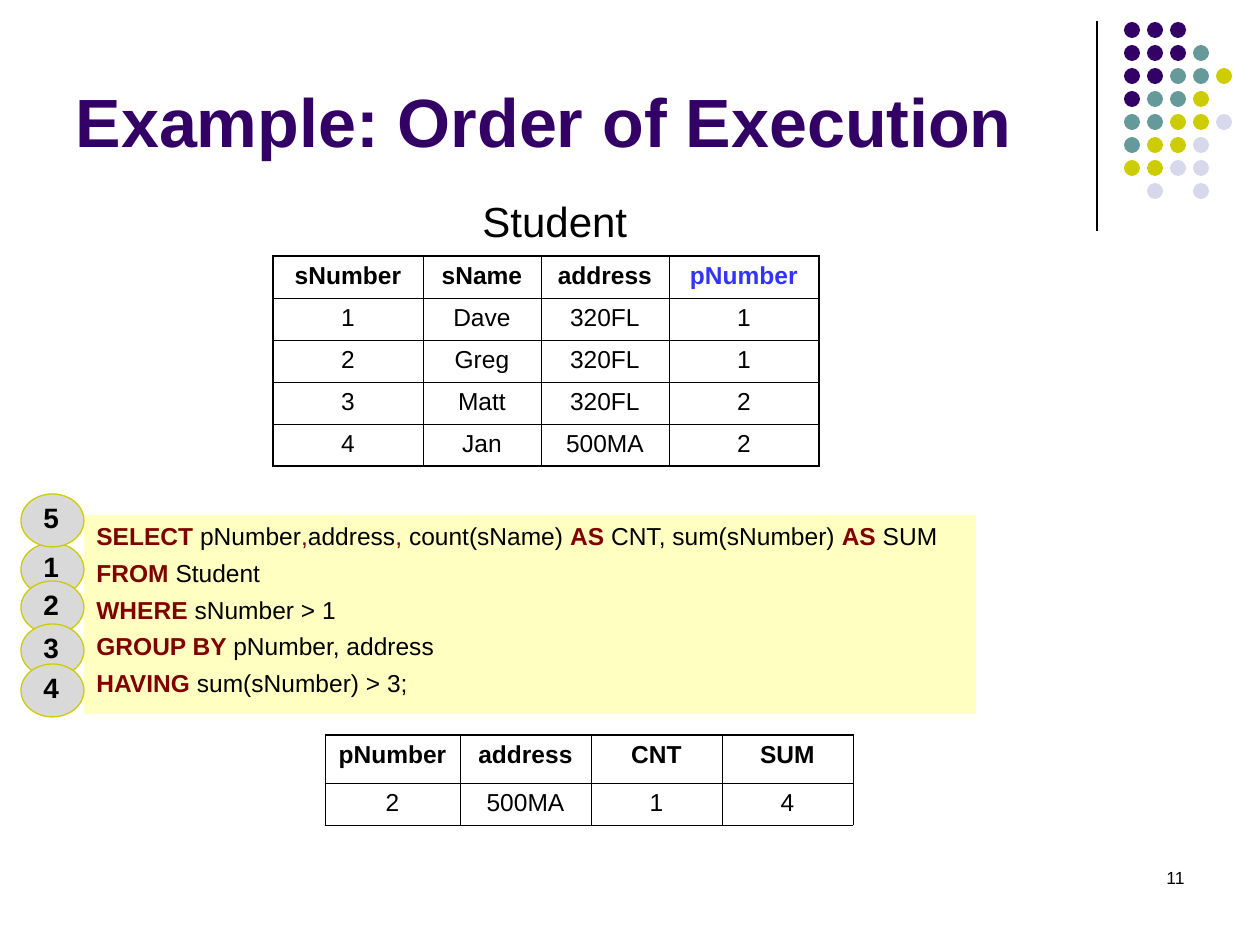
from itertools import product
from typing import Any, NamedTuple

from lxml.etree import SubElement
from pptx import Presentation
from pptx.dml.color import RGBColor
from pptx.enum.shapes import MSO_CONNECTOR as Connector, MSO_SHAPE as Preset
from pptx.enum.text import MSO_ANCHOR as Anchor, MSO_AUTO_SIZE as AutoSize, PP_ALIGN as Align
from pptx.oxml.ns import qn
from pptx.util import Emu, Pt

FONT = "Arial"
BLACK, PURPLE, TEAL, LIME, LAVENDER = "000000", "330066", "669999", "CCCC00", "D8D8EC"
MAROON, BLUE, CREAM, GREY = "800000", "3333FF", "FFFFC2", "D9D9D9"
THIN, THICK = 0.45, 1.08


class Box(NamedTuple):
    left: int
    top: int
    width: int
    height: int


class Run(NamedTuple):
    text: str
    color: str = BLACK
    bold: bool = False


class Badge(NamedTuple):
    step: int
    top: int


class Grid(NamedTuple):
    box: Box
    columns: list[int]
    rows: list[int]
    cells: list[list[str]]
    thick_sides: str
    accents: dict[tuple[int, int], str]


def px(length: int) -> Emu:
    return Emu(round(length * 914400 / 126))


def emu(box: Box) -> tuple[Emu, ...]:
    return tuple(px(length) for length in box)


def rgb(value: str) -> RGBColor:
    return RGBColor.from_string(value)


def write(frame: Any, text: str | list[list[Run]], *, size: float, color: str = BLACK,
          bold: bool = False, align: Align = Align.LEFT, anchor: Anchor = Anchor.TOP,
          wrap: bool = True, gap: float = 0, hanging: int = 0) -> None:
    frame.word_wrap = wrap
    frame.auto_size = AutoSize.NONE if wrap else AutoSize.SHAPE_TO_FIT_TEXT
    frame.vertical_anchor = anchor
    lines = [[Run(text, color, bold)]] if isinstance(text, str) else text
    for index, line in enumerate(lines):
        paragraph = frame.add_paragraph() if index else frame.paragraphs[0]
        paragraph.alignment = align
        paragraph.space_before = Pt(gap if index else 0)
        if hanging:
            properties = paragraph._p.get_or_add_pPr()
            properties.set("marL", str(px(hanging)))
            properties.set("indent", str(-px(hanging)))
        for part in line:
            run = paragraph.add_run()
            run.text = part.text
            run.font.name, run.font.size, run.font.bold = FONT, Pt(size), part.bold
            run.font.color.rgb = rgb(part.color)


def add_label(shapes: Any, box: Box, text: str, **style: Any) -> None:
    write(shapes.add_textbox(*emu(box)).text_frame, text, **style)


def add_filled(shapes: Any, preset: Preset, box: Box, fill: str, outline: str = "") -> Any:
    shape = shapes.add_shape(preset, *emu(box))
    shape.shadow.inherit = False
    shape.fill.solid()
    shape.fill.fore_color.rgb = rgb(fill)
    if outline:
        shape.line.color.rgb = rgb(outline)
        shape.line.width = Pt(0.75)
    else:
        shape.line.fill.background()
    return shape


def add_divider(shapes: Any, x: int, top: int, bottom: int) -> None:
    divider = shapes.add_connector(Connector.STRAIGHT, px(x), px(top), px(x), px(bottom))
    divider.line.color.rgb = rgb(BLACK)
    divider.line.width = Pt(0.75)
    SubElement(divider._element.spPr, qn("a:effectLst"))


def add_dots(shapes: Any, left: int, top: int, pitch: int, diameter: int) -> None:
    colors = {"P": PURPLE, "T": TEAL, "L": LIME, "V": LAVENDER}
    pattern = ["PPP", "PPPT", "PPTTL", "PTTL", "TTLLV", "TLLV", "LLVV", ".V.V"]
    dots = shapes.add_group_shape().shapes
    for row, letters in enumerate(pattern):
        for column, letter in enumerate(letters):
            if letter in colors:
                box = Box(left + pitch * column, top + pitch * row, diameter, diameter)
                add_filled(dots, Preset.OVAL, box, colors[letter])


def add_badge(shapes: Any, badge: Badge) -> None:
    members = shapes.add_group_shape().shapes
    add_filled(members, Preset.OVAL, Box(21, badge.top, 63, 53), GREY, LIME)
    add_label(members, Box(31, badge.top, 40, 47), str(badge.step), size=16, bold=True, wrap=False)


def set_borders(cell: Any, thick_sides: str) -> None:
    properties = cell._tc.get_or_add_tcPr()
    for side in "LRTB":
        width = Pt(THICK if side in thick_sides else THIN)
        border = SubElement(properties, qn(f"a:ln{side}"), w=str(width))
        SubElement(SubElement(border, qn("a:solidFill")), qn("a:srgbClr"), val=BLACK)


def add_grid(shapes: Any, grid: Grid) -> None:
    row_count, column_count = len(grid.rows), len(grid.columns)
    table = shapes.add_table(row_count, column_count, *emu(grid.box)).table
    table.first_row = table.horz_banding = False
    for column, width in zip(table.columns, grid.columns):
        column.width = px(width)
    for row, height in zip(table.rows, grid.rows):
        row.height = px(height)
    for row, column in product(range(row_count), range(column_count)):
        outer = {"L": column == 0, "R": column == column_count - 1,
                 "T": row == 0, "B": row == row_count - 1}
        cell = table.cell(row, column)
        set_borders(cell, "".join(side for side in grid.thick_sides if outer[side]))
        cell.fill.background()
        write(cell.text_frame, grid.cells[row][column], size=14, bold=row == 0,
              color=grid.accents.get((row, column), BLACK), align=Align.CENTER)


def keyword(text: str) -> Run:
    return Run(text, MAROON, True)


STUDENTS = Grid(
    Box(273, 256, 546, 210), [150, 118, 128, 150], [42] * 5,
    [["sNumber", "sName", "address", "pNumber"],
     ["1", "Dave", "320FL", "1"],
     ["2", "Greg", "320FL", "1"],
     ["3", "Matt", "320FL", "2"],
     ["4", "Jan", "500MA", "2"]],
    "LRTB", {(0, 3): BLUE})

RESULT = Grid(
    Box(325, 735, 528, 90), [135, 131, 131, 131], [48, 42],
    [["pNumber", "address", "CNT", "SUM"], ["2", "500MA", "1", "4"]],
    "T", {})

QUERY = [
    [keyword("SELECT "), Run("pNumber"), Run(",", MAROON), Run("address"), Run(", ", MAROON),
     Run("count(sName) "), keyword("AS"), Run(" CNT, sum(sNumber) "), keyword("AS "), Run("SUM")],
    [keyword("FROM "), Run("Student")],
    [keyword("WHERE "), Run("sNumber > 1")],
    [keyword("GROUP BY "), Run("pNumber, address")],
    [keyword("HAVING"), Run(" sum(sNumber) > 3;")],
]

BADGES = [Badge(1, 543), Badge(2, 581), Badge(3, 624), Badge(4, 664), Badge(5, 494)]


def main() -> None:
    deck = Presentation()
    deck.slide_width, deck.slide_height = px(1260), px(945)
    slide = deck.slides.add_slide(deck.slide_layouts[5])
    shapes = slide.shapes

    add_divider(shapes, 1097, 21, 231)
    add_dots(shapes, 1124, 22, 23, 16)

    title = shapes.title
    title.left, title.top, title.width, title.height = emu(Box(63, 16, 1040, 151))
    write(title.text_frame, "Example: Order of Execution", size=39, color=PURPLE, bold=True,
          anchor=Anchor.BOTTOM)

    add_grid(shapes, STUDENTS)
    add_label(shapes, Box(470, 189, 170, 63), "Student", size=24, wrap=False)
    query_panel = add_filled(shapes, Preset.RECTANGLE, Box(84, 515, 892, 199), CREAM)
    write(query_panel.text_frame, QUERY, size=14, gap=4.2, hanging=48)
    add_grid(shapes, RESULT)
    add_label(shapes, Box(903, 861, 294, 63), "11", size=10, align=Align.RIGHT)
    for badge in BADGES:
        add_badge(shapes, badge)

    deck.save("out.pptx")


if __name__ == "__main__":
    main()
